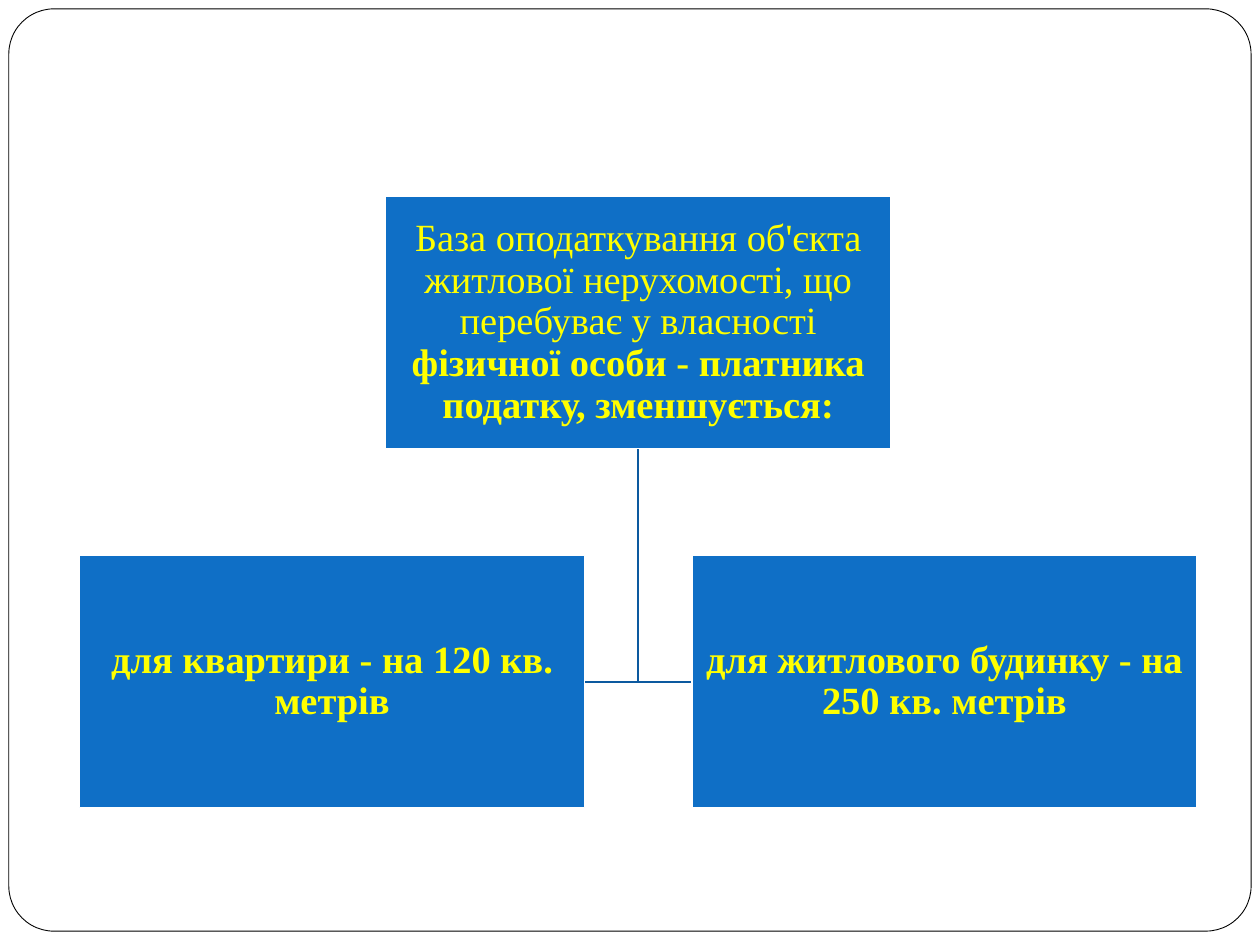
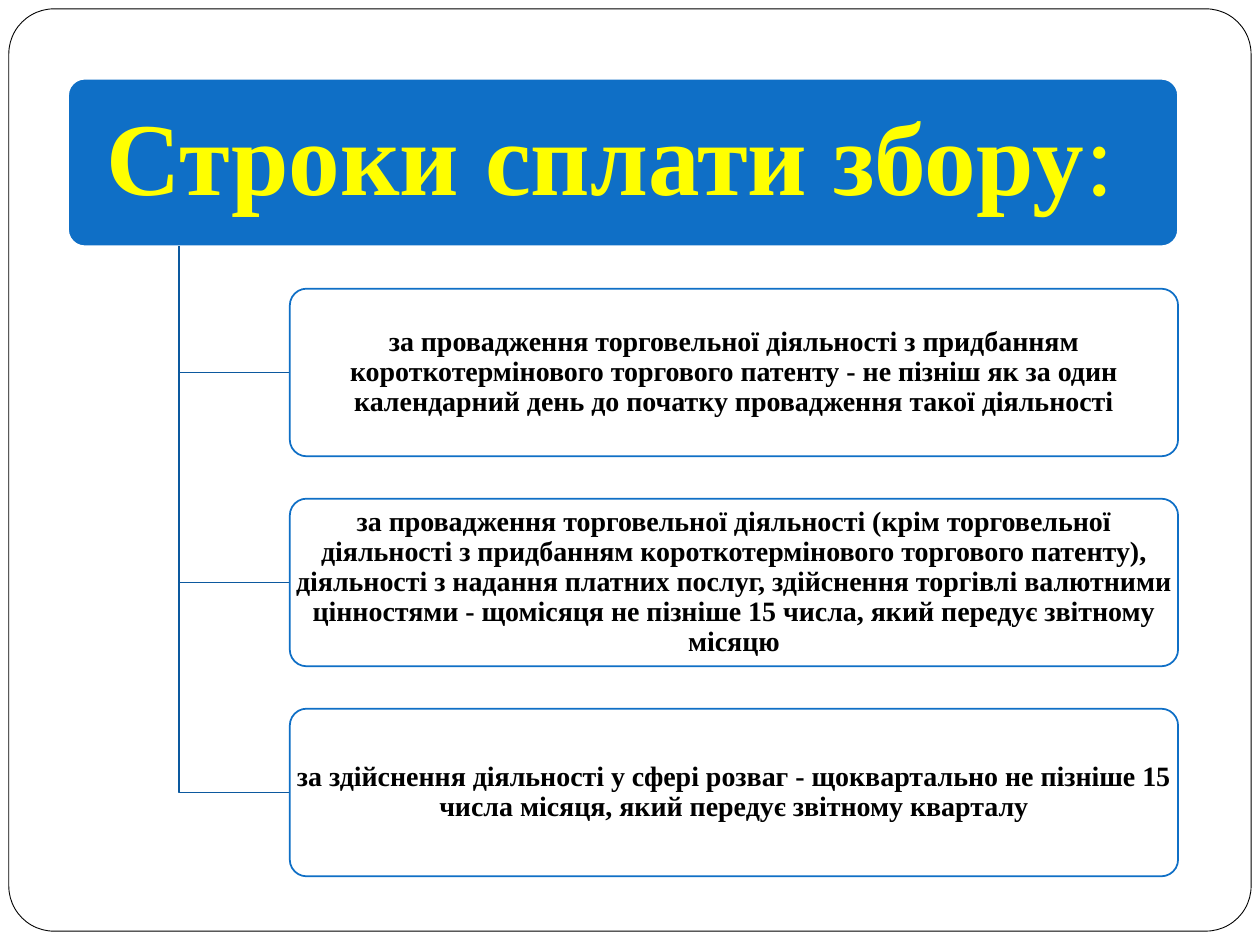
"""Build two tax slides: a reduction tree and a list of payment terms."""
import pptx
import pptx.util
import pptx.dml.color
import pptx.enum.shapes
import pptx.enum.text
import pptx.oxml.ns
from lxml import etree

Inches, Pt = pptx.util.Inches, pptx.util.Pt
RGBColor = pptx.dml.color.RGBColor
Preset = pptx.enum.shapes.MSO_SHAPE
qn = pptx.oxml.ns.qn

REDUCTION = [("База оподаткування об'єкта житлової нерухомості, що перебуває у власності ", False),
             ("фізичної особи - платника податку, зменшується:", True)]
REDUCTION_CASES = ["для квартири - на 120 кв. метрів",
                   "для житлового будинку - на 250 кв. метрів"]
TERMS_TITLE = [("Строки сплати збору", True), (": ", False)]
TERMS = [
    "за провадження торговельної діяльності з придбанням короткотермінового торгового "
    "патенту - не пізніш як за один календарний день до початку провадження такої діяльності",
    "за провадження торговельної діяльності (крім торговельної діяльності з придбанням "
    "короткотермінового торгового патенту), діяльності з надання платних послуг, здійснення "
    "торгівлі валютними цінностями - щомісяця не пізніше 15 числа, який передує звітному місяцю",
    "за здійснення діяльності у сфері розваг - щоквартально не пізніше 15 числа місяця, "
    "який передує звітному кварталу",
]

FONT = "Times New Roman"
WHITE = RGBColor(0xFF, 0xFF, 0xFF)
BLACK = RGBColor(0, 0, 0)
BLUE = RGBColor(0x0F, 0x6F, 0xC6)
DEEP_BLUE = RGBColor(0x0C, 0x59, 0x9F)
YELLOW = RGBColor(0xFF, 0xFF, 0)
TITLE_ONLY, BLANK = 5, 6

SLIDE_W, SLIDE_H = 10, 7.5
CASE_W, CASE_H, CASE_GAP = 4.01, 2, 0.85
CASES_LEFT, ROOT_TOP = 0.63, 1.56
TERM_LEFT, TERM_TOP = 0.54, SLIDE_H / 12
TERM_H, TERM_PITCH = 1.33, SLIDE_H * 2 / 9
TERM_W, TERM_INDENT = 8.81, 1.76


def add_box(slide, preset, area, fill, line, line_width=1, corner=None, alpha=None):
    box = slide.shapes.add_shape(preset, *map(Inches, area))
    box.shadow.inherit = False
    box.fill.solid()
    box.fill.fore_color.rgb = fill
    if alpha:
        colour = box.element.spPr.find(qn("a:solidFill")).find(qn("a:srgbClr"))
        etree.SubElement(colour, qn("a:alpha"), val=str(alpha * 1000))
    box.line.color.rgb = line
    box.line.width = Pt(line_width)
    if corner:
        box.adjustments[0] = corner
    return box


def write(holder, runs, size, colour, inset_x, inset_y):
    frame = holder.text_frame
    frame.word_wrap = True
    frame.auto_size = pptx.enum.text.MSO_AUTO_SIZE.NONE
    frame.vertical_anchor = pptx.enum.text.MSO_ANCHOR.MIDDLE
    frame.margin_left = frame.margin_right = Inches(inset_x)
    frame.margin_top = frame.margin_bottom = Inches(inset_y)
    paragraph = frame.paragraphs[0]
    paragraph.alignment = pptx.enum.text.PP_ALIGN.CENTER
    paragraph.line_spacing = 0.9
    for words, bold in runs:
        run = paragraph.add_run()
        run.text = words
        run.font.name, run.font.size, run.font.bold = FONT, Pt(size), bold
        run.font.color.rgb = colour


def add_branch(slide, x, top, end_x, end_y):
    start, *bends = [(Inches(a), Inches(b)) for a, b in [(x, top), (x, end_y), (end_x, end_y)]]
    builder = slide.shapes.build_freeform(*start)
    builder.add_line_segments(bends, close=False)
    branch = builder.convert_to_shape()
    branch.shadow.inherit = False
    branch.fill.background()
    branch.line.color.rgb = DEEP_BLUE
    branch.line.width = Pt(1)


def add_master_frame(deck, slide):
    frame = add_box(slide, Preset.ROUNDED_RECTANGLE, (0.07, 0.07, 9.86, 7.32),
                    WHITE, BLACK, 0.5, corner=0.049)
    deck.slide_master.shapes.element.insert(2, frame.element)


def build_reduction(slide):
    case_pitch = CASE_W + CASE_GAP
    root_left = CASES_LEFT + case_pitch / 2
    root_x, root_bottom = root_left + CASE_W / 2, ROOT_TOP + CASE_H
    case_top = root_bottom + CASE_GAP
    for side in (1, -1):
        add_branch(slide, root_x, root_bottom, root_x + side * CASE_GAP / 2, case_top + CASE_H / 2)
    boxes = [(root_left, ROOT_TOP, REDUCTION)]
    boxes += [(CASES_LEFT + i * case_pitch, case_top, [(case, True)])
              for i, case in enumerate(REDUCTION_CASES)]
    for left, top, runs in boxes:
        box = add_box(slide, Preset.RECTANGLE, (left, top, CASE_W, CASE_H), BLUE, WHITE)
        write(box, runs, 22, YELLOW, 0.02, 0.02)


def build_terms(slide):
    banner = (TERM_LEFT, TERM_TOP, TERM_W, TERM_H)
    add_box(slide, Preset.ROUNDED_RECTANGLE, banner, BLUE, WHITE, corner=0.1)
    title = slide.shapes.title
    title.left, title.top, title.width, title.height = map(Inches, banner)
    write(title, TERMS_TITLE, 59, YELLOW, 0.12, 0.08)
    slide.shapes.element.append(title.element)

    left = TERM_LEFT + TERM_INDENT
    for row, term in enumerate(TERMS, start=1):
        top = TERM_TOP + row * TERM_PITCH
        add_branch(slide, TERM_LEFT + TERM_INDENT / 2, TERM_TOP + TERM_H, left, top + TERM_H / 2)
        box = add_box(slide, Preset.ROUNDED_RECTANGLE, (left, top, TERM_W - TERM_INDENT, TERM_H),
                      WHITE, BLUE, corner=0.1, alpha=90)
        write(box, [(term, True)], 16, BLACK, 0, 0)


def main():
    deck = pptx.Presentation()
    deck.slide_width, deck.slide_height = Inches(SLIDE_W), Inches(SLIDE_H)
    reduction = deck.slides.add_slide(deck.slide_layouts[BLANK])
    add_master_frame(deck, reduction)
    build_reduction(reduction)
    build_terms(deck.slides.add_slide(deck.slide_layouts[TITLE_ONLY]))
    deck.save("out.pptx")


if __name__ == "__main__":
    main()
